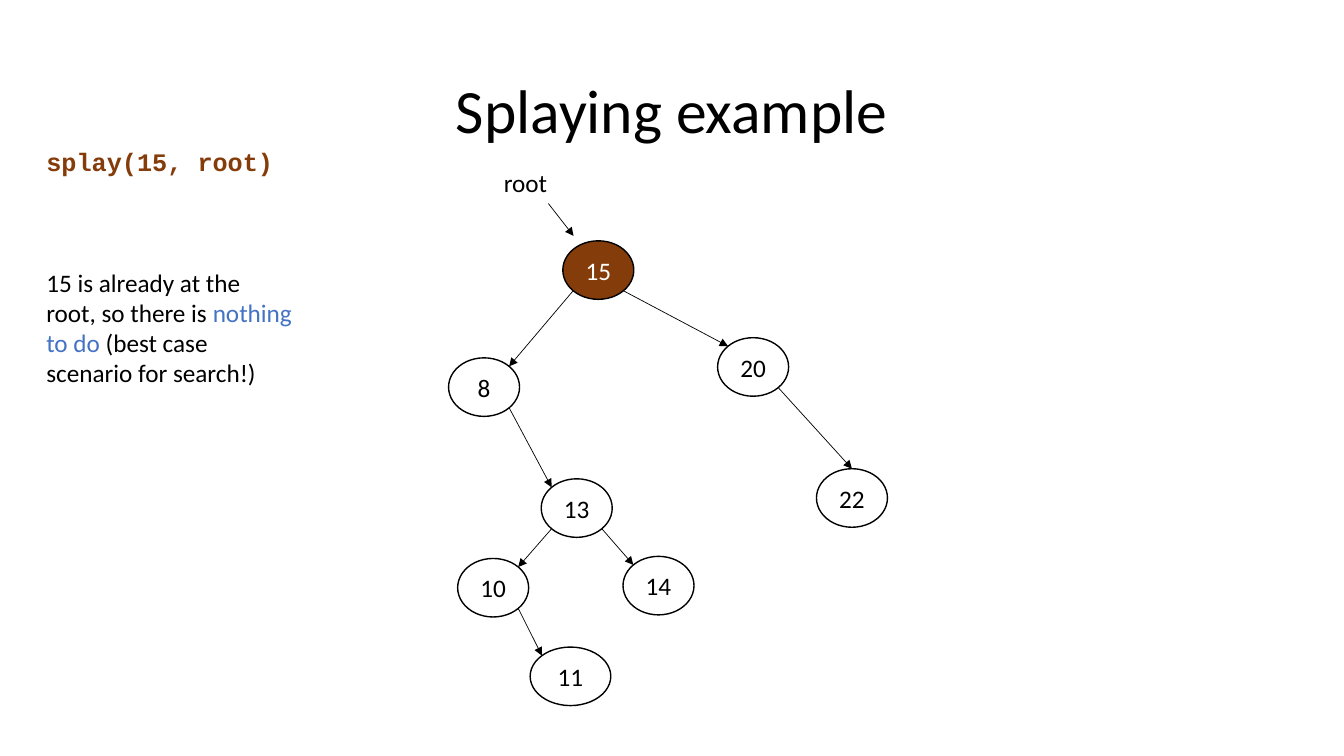
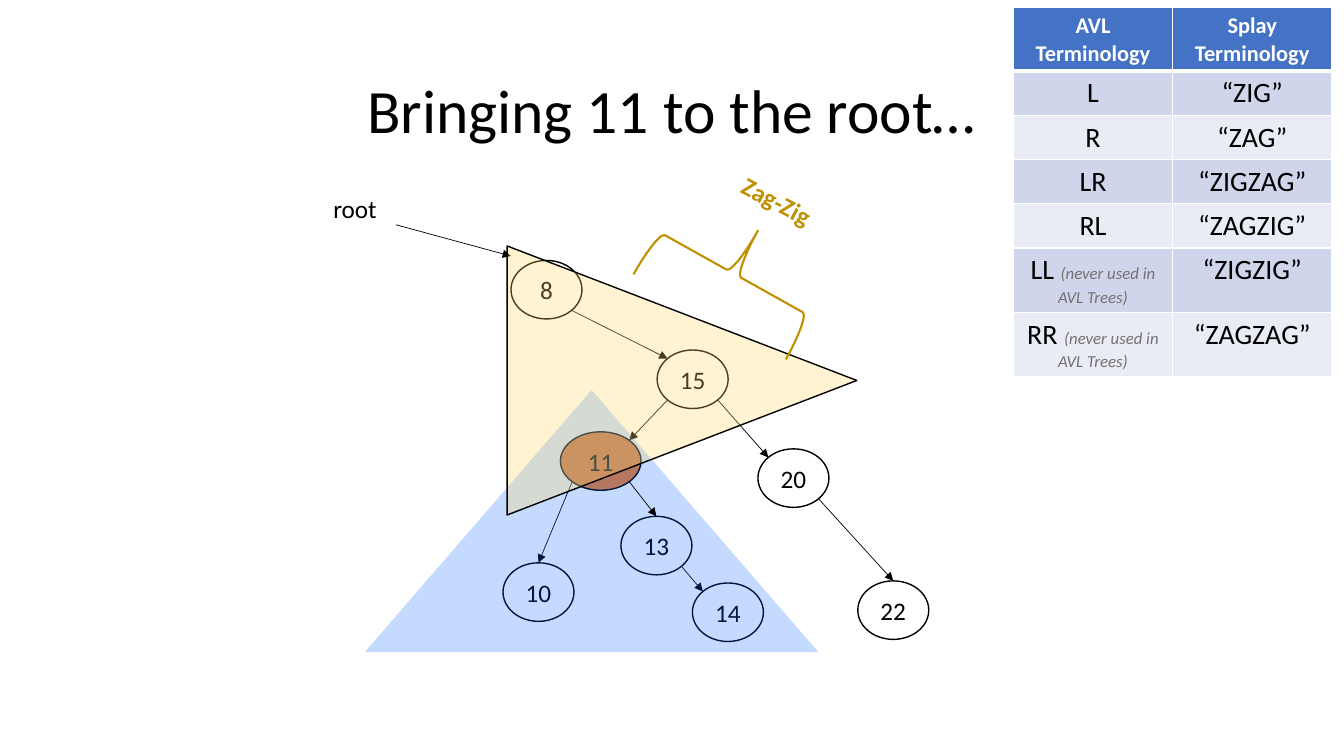
from math import sqrt

from pptx import Presentation
from pptx.dml.color import RGBColor
from pptx.enum.shapes import MSO_CONNECTOR, MSO_SHAPE
from pptx.enum.text import MSO_ANCHOR, PP_ALIGN
from pptx.oxml.ns import qn
from pptx.util import Pt
from lxml.etree import SubElement

# Shared colours, fonts and sizes
BLACK = RGBColor(0x00, 0x00, 0x00)
WHITE = RGBColor(0xFF, 0xFF, 0xFF)
BROWN = RGBColor(0x84, 0x3C, 0x0B)
ORANGE = RGBColor(0xED, 0x7D, 0x31)
BLUE = RGBColor(0x44, 0x72, 0xC4)
BRIGHT_BLUE = RGBColor(0x00, 0x66, 0xFF)
YELLOW = RGBColor(0xFF, 0xD9, 0x66)
GOLD = RGBColor(0xBF, 0x90, 0x00)
GRAY = RGBColor(0x76, 0x71, 0x71)
BAND_COLORS = (RGBColor(0xCF, 0xD5, 0xEA), RGBColor(0xE9, 0xEB, 0xF5))

BODY_FONT = "Calibri"
CODE_FONT = "Courier New"
NODE_WIDTH, WIDE_NODE_WIDTH, NODE_HEIGHT = 50.7, 57.6, 41.8
LEFT, MIDDLE, RIGHT = -1, 0, 1


# Basic parts
def add_run(paragraph, text, size=18, color=BLACK, font=BODY_FONT, bold=False, italic=False):
    run = paragraph.add_run()
    run.text = text
    run.font.name = font
    run.font.size = Pt(size)
    run.font.color.rgb = color
    run.font.bold = bold
    run.font.italic = italic


def add_text(slide, box, runs, align=PP_ALIGN.LEFT, anchor=MSO_ANCHOR.TOP):
    """Runs are pairs of text and formatting."""
    text_box = slide.shapes.add_textbox(*map(Pt, box))
    text_frame = text_box.text_frame
    text_frame.word_wrap = True
    text_frame.vertical_anchor = anchor
    paragraph = text_frame.paragraphs[0]
    paragraph.alignment = align
    for text, formatting in runs:
        add_run(paragraph, text, **formatting)
    return text_box


def add_title(slide, text):
    title = add_text(slide, (66, 28.8, 828, 104.4), [(text, {"size": 44})],
                     PP_ALIGN.CENTER, MSO_ANCHOR.MIDDLE)
    title.text_frame.paragraphs[0].line_spacing = 0.9


def add_shape(slide, kind, box, fill=None, alpha=None, line=BLACK, line_width=1):
    shape = slide.shapes.add_shape(kind, *map(Pt, box))
    shape.shadow.inherit = False
    if fill is None:
        shape.fill.background()
    else:
        shape.fill.solid()
        shape.fill.fore_color.rgb = fill
    if alpha is not None:
        color = shape.element.spPr.find(qn("a:solidFill"))[0]
        SubElement(color, qn("a:alpha")).set("val", str(alpha * 1000))
    if line is None:
        shape.line.fill.background()
    else:
        shape.line.color.rgb = line
        shape.line.width = Pt(line_width)
    return shape


def add_arrow(slide, start, end):
    arrow = slide.shapes.add_connector(MSO_CONNECTOR.STRAIGHT, *map(Pt, (*start, *end)))
    arrow.line.color.rgb = BLACK
    arrow.line.width = Pt(0.5)
    properties = arrow.element.spPr
    SubElement(properties.find(qn("a:ln")), qn("a:tailEnd")).set("type", "triangle")
    SubElement(properties, qn("a:effectLst"))
    return arrow


# Trees
def add_nodes(slide, left, top, positions, highlights):
    """Positions are offsets by key; highlights give fill and text colour by key."""
    nodes = {}
    for key, (x, y) in positions.items():
        fill, color = highlights.get(key, (None, BLACK))
        width = WIDE_NODE_WIDTH if key == 11 else NODE_WIDTH
        node = add_shape(slide, MSO_SHAPE.OVAL, (left + x, top + y, width, NODE_HEIGHT), fill)
        node.text_frame.vertical_anchor = MSO_ANCHOR.MIDDLE
        paragraph = node.text_frame.paragraphs[0]
        paragraph.alignment = PP_ALIGN.CENTER
        add_run(paragraph, str(key), color=color)
        nodes[key] = node
    return nodes


def node_point(node, side, vertical):
    """Point on the ellipse: its top or bottom, or a diagonal corner."""
    reach = 1 if side == MIDDLE else 1 / sqrt(2)
    width, height = node.width.pt, node.height.pt
    return (node.left.pt + width / 2 * (1 + side * reach),
            node.top.pt + height / 2 * (1 + vertical * reach))


def add_edges(slide, nodes, edges):
    """An edge is parent, child, side of the parent, side of the child."""
    for parent, child, parent_side, child_side in edges:
        arrow = add_arrow(slide, node_point(nodes[parent], parent_side, 1),
                          node_point(nodes[child], child_side, -1))
        if child_side == MIDDLE:
            arrow.end_connect(nodes[child], 0)


def add_root_label(slide, left, top, start, end):
    """Start and end of the arrow are offsets from the label."""
    add_text(slide, (left, top, 77.8, 28.8), [("root", {})])
    add_arrow(slide, *((left + x, top + y) for x, y in (start, end)))


# Terminology table
def add_terminology_table(slide, left, top, width):
    never_used = "(never used in AVL Trees)"
    rows = [
        ("AVL Terminology", "", "Splay Terminology"),
        ("L", "", "“ZIG”"),
        ("R", "", "“ZAG”"),
        ("LR", "", "“ZIGZAG”"),
        ("RL", "", "“ZAGZIG”"),
        ("LL ", never_used, "“ZIGZIG”"),
        ("RR ", never_used, "“ZAGZAG”"),
    ]
    heights = [44.6] + [31.6] * 4 + [46] * 2
    frame = slide.shapes.add_table(len(rows), 2, Pt(left), Pt(top), Pt(width), Pt(sum(heights)))
    table = frame.table
    for row_index, (avl, note, splay) in enumerate(rows):
        table.rows[row_index].height = Pt(heights[row_index])
        header = row_index == 0
        style = {"size": 16, "color": WHITE, "bold": True} if header else {"size": 20}
        for column, text in enumerate((avl, splay)):
            cell = table.cell(row_index, column)
            paragraph = cell.text_frame.paragraphs[0]
            paragraph.alignment = PP_ALIGN.CENTER
            add_run(paragraph, text, **style)
            if note and column == 0:
                add_run(paragraph, note, size=12, color=GRAY, italic=True)
            set_borders(cell, bottom=3 if header else 1, top=3 if row_index == 1 else 1)
            cell.fill.solid()
            cell.fill.fore_color.rgb = BLUE if header else BAND_COLORS[(row_index - 1) % 2]


def set_borders(cell, top, bottom):
    properties = cell._tc.get_or_add_tcPr()
    for tag, width in (("a:lnL", 1), ("a:lnR", 1), ("a:lnT", top), ("a:lnB", bottom)):
        border = SubElement(properties, qn(tag))
        border.set("w", str(Pt(width)))
        fill = SubElement(border, qn("a:solidFill"))
        SubElement(fill, qn("a:srgbClr")).set("val", str(WHITE))


# Zag-Zig marker
def add_rotation_marker(slide, left, top):
    brace = add_shape(slide, MSO_SHAPE.LEFT_BRACE, (left, top, 70.6, 124.6),
                      line=GOLD, line_width=1.5)
    brace.rotation = 299.2
    brace.element.spPr.find(qn("a:xfrm")).set("flipH", "1")
    label = add_text(slide, (left + 31.7, top - 0.7, 82, 28.8),
                     [("Zag-Zig", {"color": GOLD, "bold": True})])
    label.rotation = 27.5


# Slides
def build_splaying_slide(slide):
    add_title(slide, "Splaying example")
    positions = {
        15: (82, 0), 8: (0.4, 83.6), 13: (66.6, 170), 10: (6.9, 226.9),
        20: (192.6, 69.2), 22: (263.2, 162.8), 11: (58.7, 290.2), 14: (125, 225.4),
    }
    nodes = add_nodes(slide, 320, 172, positions, {15: (BROWN, WHITE)})
    add_edges(slide, nodes, [
        (15, 8, LEFT, RIGHT), (15, 20, RIGHT, LEFT), (20, 22, RIGHT, MIDDLE),
        (8, 13, RIGHT, LEFT), (13, 10, LEFT, RIGHT), (10, 11, RIGHT, LEFT),
        (13, 14, RIGHT, LEFT),
    ])
    add_root_label(slide, 352.8, 116, (38.9, 29.4), (56.9, 52.5))
    add_text(slide, (26, 100.8, 179.3, 28.8),
             [("splay(15, root)", {"color": BROWN, "font": CODE_FONT, "bold": True})])
    add_text(slide, (26, 187.2, 190.8, 94.3), [
        ("15 is already at the root, so there is ", {}),
        ("nothing to do", {"color": BLUE}),
        (" (best case scenario for search!)", {}),
    ])


def build_rotation_slide(slide):
    add_title(slide, "Bringing 11 to the root…")
    positions = {
        8: (6, 0), 15: (110.4, 64), 20: (182.4, 134.6), 22: (253.7, 228.9),
        13: (84.5, 182.8), 10: (0.3, 216), 11: (41.3, 122.4), 14: (135.6, 230.4),
    }
    nodes = add_nodes(slide, 359, 186, positions, {11: (ORANGE, BLACK)})
    add_edges(slide, nodes, [
        (8, 15, RIGHT, LEFT), (15, 20, RIGHT, LEFT), (20, 22, RIGHT, MIDDLE),
        (15, 11, LEFT, RIGHT), (13, 14, RIGHT, LEFT), (11, 10, LEFT, MIDDLE),
    ])
    add_root_label(slide, 231, 134.6, (52, 26), (134, 48.3))

    # Highlighted subtrees
    add_shape(slide, MSO_SHAPE.ISOSCELES_TRIANGLE, (260.6, 278.6, 324, 187.2),
              BRIGHT_BLUE, alpha=23, line=None)
    add_edges(slide, nodes, [(11, 13, RIGHT, MIDDLE)])
    upper_subtree = add_shape(slide, MSO_SHAPE.ISOSCELES_TRIANGLE, (391, 146.9, 192.2, 249.8),
                              YELLOW, alpha=29)
    upper_subtree.rotation = 90

    add_rotation_marker(slide, 488.9, 133.2)
    add_terminology_table(slide, 723.9, 5.2, 227.4)


def main():
    presentation = Presentation()
    presentation.slide_width = Pt(960)
    presentation.slide_height = Pt(540)
    for build in (build_splaying_slide, build_rotation_slide):
        build(presentation.slides.add_slide(presentation.slide_layouts[6]))
    presentation.save("out.pptx")


if __name__ == "__main__":
    main()
